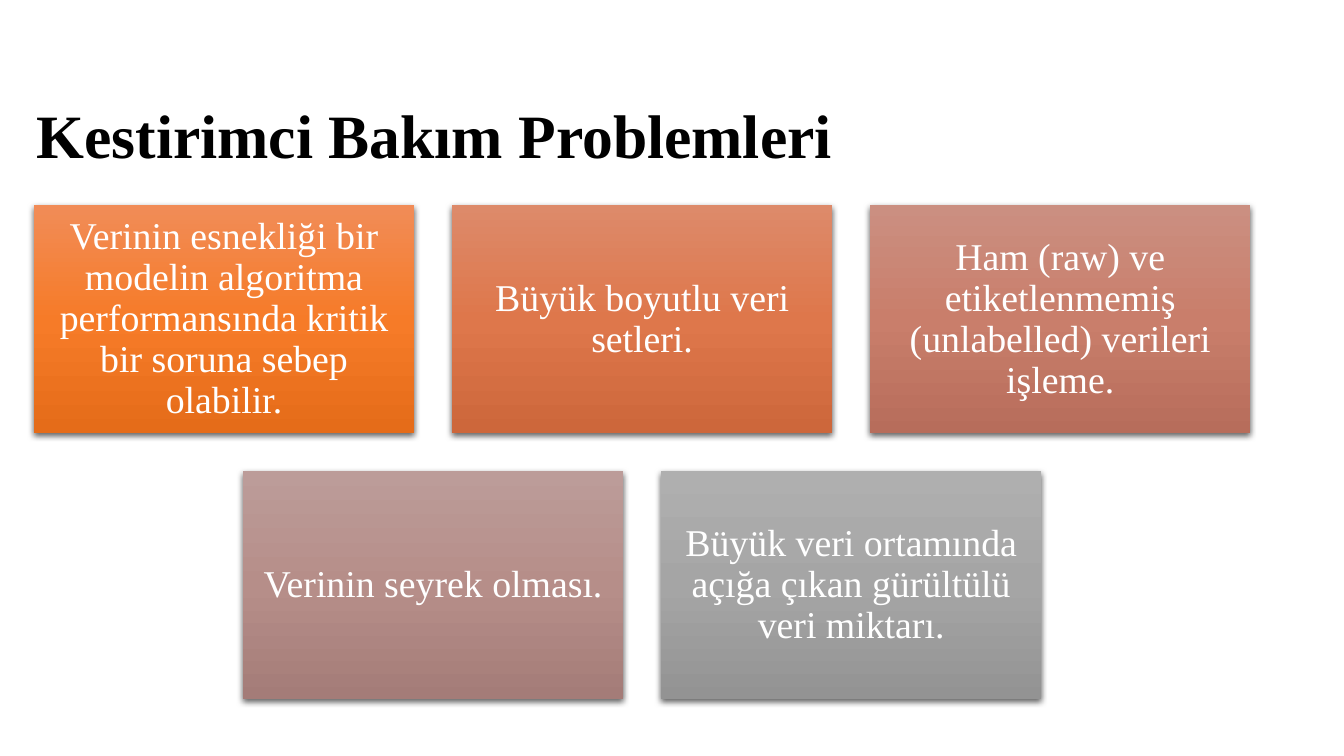
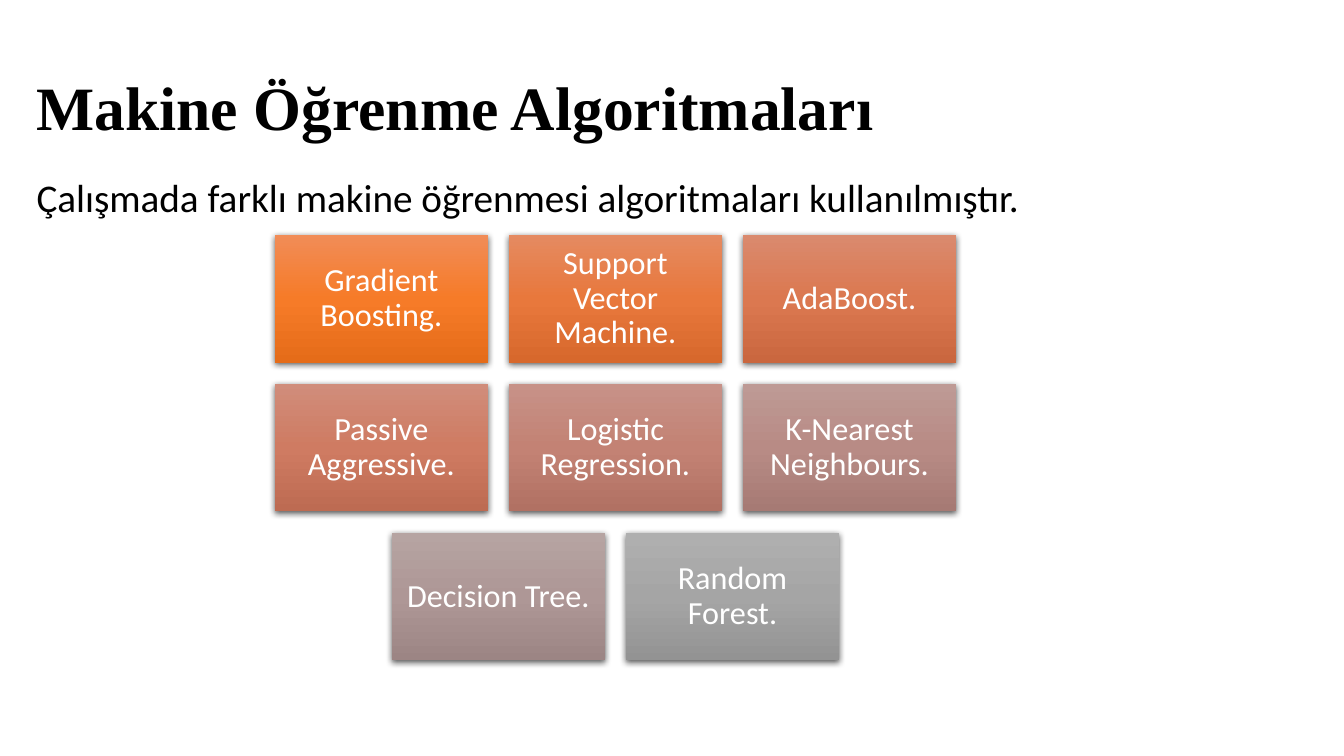
"""Build two slides of gradient card grids about predictive maintenance."""

from copy import deepcopy
from typing import NamedTuple

from pptx import Presentation
from pptx.dml.color import RGBColor
from pptx.enum.shapes import MSO_SHAPE
from pptx.enum.text import MSO_ANCHOR, PP_ALIGN
from pptx.oxml import parse_xml
from pptx.oxml.ns import nsdecls, qn
from pptx.util import Pt

RECTANGLE = MSO_SHAPE.RECTANGLE
TOP, MIDDLE = MSO_ANCHOR.TOP, MSO_ANCHOR.MIDDLE
LEFT, CENTER = PP_ALIGN.LEFT, PP_ALIGN.CENTER

SERIF, SANS = "Times New Roman", "Calibri"
BLACK, WHITE = "000000", "FFFFFF"
COLUMNS = 3
GAP_RATIO, HEIGHT_RATIO, INSET_RATIO = 0.1, 0.6, 0.3
LINE_SPACING = 0.9
ORANGE = ("F18C57", "F67B28", "E56C19")
GREY = ("AFAFAF", "A5A5A5", "939393")


class Box(NamedTuple):
    left: float
    top: float
    width: float
    height: float


class TextStyle(NamedTuple):
    font: str
    size: float
    color: str
    bold: bool = False
    align: PP_ALIGN = LEFT
    anchor: MSO_ANCHOR = MIDDLE
    space_before: float = 0


class Card(NamedTuple):
    text: str
    gradient: tuple[str, str, str]


class Grid(NamedTuple):
    left: float
    top: float
    card_width: float
    style: TextStyle
    cards: list[Card]


TITLE = TextStyle(SERIF, 44, BLACK, bold=True)
BODY = TextStyle(SANS, 28, BLACK, anchor=TOP, space_before=10)

PROBLEMS = Grid(24.3, 146.7, 271.5, TextStyle(SERIF, 27, WHITE, align=CENTER), [
    Card("Verinin esnekliği bir modelin algoritma performansında kritik "
         "bir soruna sebep olabilir.", ORANGE),
    Card("Büyük boyutlu veri setleri.", ("DD8A6A", "DE774B", "CD673B")),
    Card("Ham (raw) ve etiketlenmemiş (unlabelled) verileri işleme.",
         ("CB8F81", "C97E6B", "B76D5B")),
    Card("Verinin seyrek olması.", ("BC9C99", "B68E89", "A47C78")),
    Card("Büyük veri ortamında açığa çıkan gürültülü veri miktarı.", GREY),
])

ALGORITHMS = Grid(196.5, 167.8, 152, TextStyle(SANS, 23, WHITE, align=CENTER), [
    Card("Gradient Boosting.", ORANGE),
    Card("Support Vector Machine.", ("E58A61", "E8783C", "D7682C")),
    Card("AdaBoost.", ("DA8A6E", "DB7850", "CA673F")),
    Card("Passive Aggressive.", ("D08D7B", "CF7B62", "BD6B52")),
    Card("Logistic Regression.", ("C79288", "C38274", "B17163")),
    Card("K-Nearest Neighbours.", ("BE9A95", "B88B85", "A67A74")),
    Card("Decision Tree.", ("B6A4A2", "AE9796", "9C8584")),
    Card("Random Forest.", GREY),
])


def color(value: str) -> RGBColor:
    return RGBColor.from_string(value)


def points(box: Box) -> list[Pt]:
    return [Pt(length) for length in box]


def write_text(shape, text: str, style: TextStyle) -> None:
    frame = shape.text_frame
    frame.word_wrap = True
    frame.vertical_anchor = style.anchor
    paragraph = frame.paragraphs[0]
    paragraph.alignment = style.align
    paragraph.line_spacing = LINE_SPACING
    paragraph.space_before = Pt(style.space_before)
    run = paragraph.add_run()
    run.text = text
    run.font.name = style.font
    run.font.size = Pt(style.size)
    run.font.bold = style.bold
    run.font.color.rgb = color(style.color)


def add_text(slide, box: Box, text: str, style: TextStyle) -> None:
    write_text(slide.shapes.add_textbox(*points(box)), text, style)


def fill_gradient(shape, colors: tuple[str, str, str]) -> None:
    shape.fill.gradient()
    shape.fill.gradient_angle = 270
    stop_list = shape._element.spPr.find(".//" + qn("a:gsLst"))
    stop_list.append(deepcopy(stop_list[-1]))
    for index, (stop, value) in enumerate(zip(shape.fill.gradient_stops, colors)):
        stop.position = index / (len(colors) - 1)
        stop.color.rgb = color(value)


def add_shadow(shape) -> None:
    shape.shadow.inherit = False
    shape._element.spPr.find(qn("a:effectLst")).append(parse_xml(
        f'<a:outerShdw {nsdecls("a")} blurRad="{Pt(4.5)}" dist="{Pt(1.5)}" '
        f'dir="5400000" algn="ctr" rotWithShape="0"><a:srgbClr val="{BLACK}">'
        '<a:alpha val="63000"/></a:srgbClr></a:outerShdw>'))


def add_card(slide, box: Box, card: Card, style: TextStyle) -> None:
    shape = slide.shapes.add_shape(RECTANGLE, *points(box))
    fill_gradient(shape, card.gradient)
    shape.line.fill.background()
    add_shadow(shape)
    frame = shape.text_frame
    inset = Pt(style.size * INSET_RATIO)
    frame.margin_left = frame.margin_right = inset
    frame.margin_top = frame.margin_bottom = inset
    write_text(shape, card.text, style)


def add_grid(slide, grid: Grid) -> None:
    width = grid.card_width
    height = width * HEIGHT_RATIO
    gap = width * GAP_RATIO
    for index, card in enumerate(grid.cards):
        row, column = divmod(index, COLUMNS)
        cards_in_row = min(COLUMNS, len(grid.cards) - row * COLUMNS)
        offset = column + (COLUMNS - cards_in_row) / 2
        box = Box(grid.left + offset * (width + gap),
                  grid.top + row * (height + gap), width, height)
        add_card(slide, box, card, grid.style)


def add_slide(presentation, title: str, title_box: Box, grid: Grid):
    slide = presentation.slides.add_slide(presentation.slide_layouts[6])
    add_text(slide, title_box, title, TITLE)
    add_grid(slide, grid)
    return slide


def main() -> None:
    presentation = Presentation()
    presentation.slide_width, presentation.slide_height = Pt(960), Pt(540)
    add_slide(presentation, "Kestirimci Bakım Problemleri",
              Box(19, 63.4, 828, 71.3), PROBLEMS)
    algorithms = add_slide(presentation, "Makine Öğrenme Algoritmaları",
                           Box(19, 26.6, 828, 104.4), ALGORITHMS)
    add_text(algorithms, Box(19, 123.8, 769.7, 54),
             "Çalışmada farklı makine öğrenmesi algoritmaları kullanılmıştır.", BODY)
    presentation.save("out.pptx")


if __name__ == "__main__":
    main()
